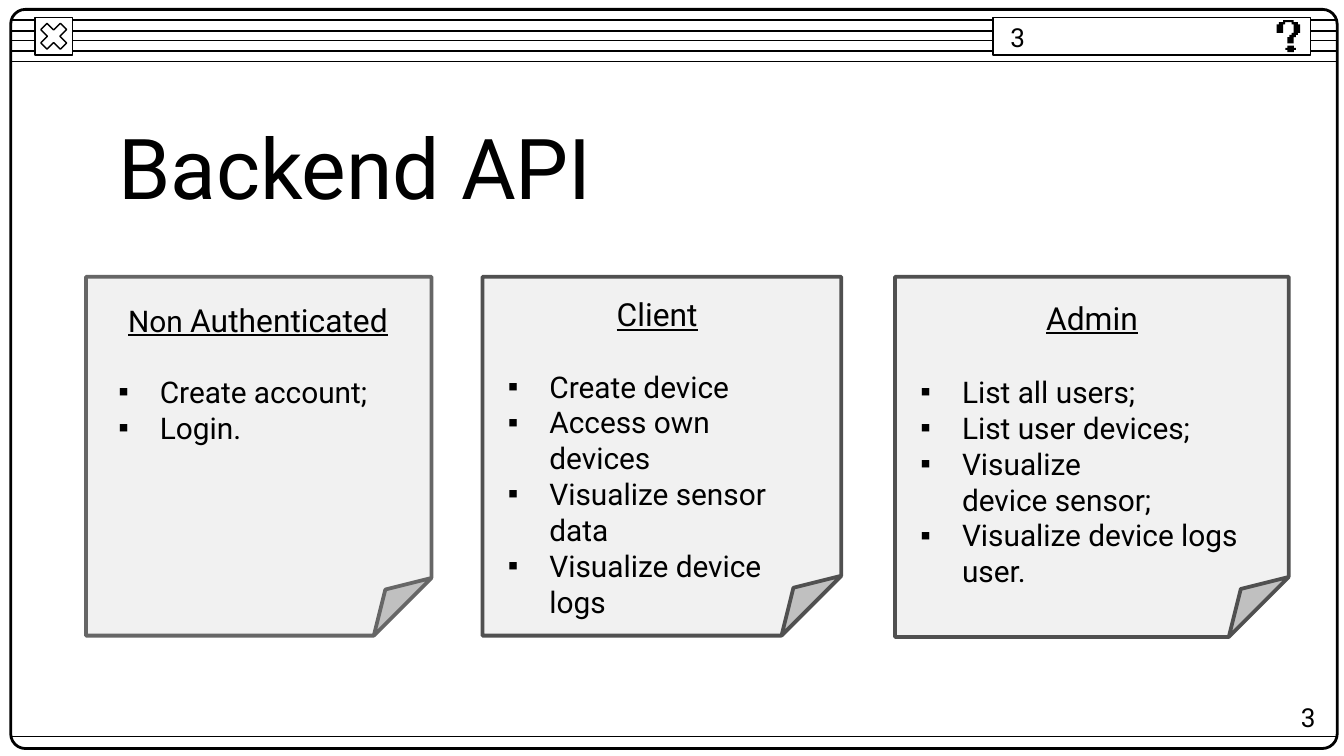
from lxml import etree
from pptx import Presentation
from pptx.dml.color import RGBColor
from pptx.enum import shapes, text
from pptx.oxml.ns import qn
from pptx.util import Inches, Pt

FONT, BLACK, WHITE, PAPER = "Roboto", "000000", "FFFFFF", "F1F1F1"
HARD_SPACE = chr(160)  # keeps two words on one line


def color(value):
    return RGBColor.from_string(value)


def style(shape, fill, line, width):
    shape.shadow.inherit = False
    if fill:
        shape.fill.solid()
        shape.fill.fore_color.rgb = color(fill)
    else:
        shape.fill.background()
    if line:
        shape.line.color.rgb = color(line)
        shape.line.width = Pt(width)
    else:
        shape.line.fill.background()


# Widescreen slide, 16:9
prs = Presentation()
prs.slide_width = Inches(10)
prs.slide_height = Inches(10) * 9 // 16
slide = prs.slides.add_slide(prs.slide_layouts[1])
title, first_list = slide.placeholders
tree = slide.shapes

# Window rules: five in the title bar, one at the foot
for y in (0.15, 0.23, 0.3, 0.38, 0.46, 5.48):
    rule = tree.add_connector(shapes.MSO_CONNECTOR.STRAIGHT, Inches(0.08), Inches(y), Inches(9.95), Inches(y))
    rule.line.color.rgb = color(BLACK)
    rule.line.width = Pt(0.75)
    etree.SubElement(rule._element.spPr, qn("a:effectLst"))

# Window frame, close button and title bar field
kinds = shapes.MSO_SHAPE
for kind, x, y, w, h, fill, width, adjust in (
    (kinds.ROUNDED_RECTANGLE, 0.08, 0.07, 9.87, 5.5, None, 1.5, 0.02),
    (kinds.RECTANGLE, 0.26, 0.13, 0.28, 0.28, WHITE, 0.75, None),
    (kinds.MATH_MULTIPLY, 0.26, 0.13, 0.28, 0.28, WHITE, 0.75, 0.235),
    (kinds.RECTANGLE, 7.39, 0.13, 2.36, 0.28, WHITE, 0.75, None),
):
    part = tree.add_shape(kind, Inches(x), Inches(y), Inches(w), Inches(h))
    style(part, fill, BLACK, width)
    if adjust:
        part.adjustments[0] = adjust

# Question mark, outlined on a grid of pixels
pixel = Inches(0.19) / 12
dot = [(5, 12), (5, 13), (4, 13), (4, 14), (5, 14), (5, 15),
       (8, 15), (8, 14), (9, 14), (9, 13), (8, 13), (8, 12)]
hook = [(3, 0), (3, 1), (1, 1), (1, 2), (0, 2), (0, 6), (3, 6), (3, 2), (4, 2), (4, 1),
        (7, 1), (7, 2), (8, 2), (8, 6), (7, 6), (7, 7), (6, 7), (6, 8), (5, 8), (5, 11),
        (8, 11), (8, 8), (9, 8), (9, 7), (10, 7), (10, 6), (11, 6), (11, 2), (10, 2),
        (10, 1), (8, 1), (8, 0)]
for outline in (dot, hook):
    builder = tree.build_freeform(*outline[0], scale=pixel)
    builder.add_line_segments(outline[1:], close=True)
    style(builder.convert_to_shape(Inches(9.5), Inches(0.15)), BLACK, None, 0)

# Paper notes
for x, w, h, edge in ((6.66, 2.93, 2.68, "505050"), (3.59, 2.67, 2.67, "505050"), (0.64, 2.57, 2.67, "666666")):
    note = tree.add_shape(kinds.FOLDED_CORNER, Inches(x), Inches(2.06), Inches(w), Inches(h))
    style(note, PAPER, edge, 2)

# Title, in front of the window
tree._spTree.append(title._element)
title.left, title.top, title.width, title.height = Inches(0.78), Inches(0.88), Inches(7.75), Inches(0.71)
title.text_frame.text = "Backend API"

# Page numbers
numbers = []
for x, y in ((7.42, 0.11), (9.58, 5.17)):
    number = tree.add_textbox(Inches(x), Inches(y), Inches(0.32), Inches(0.34))
    number.text_frame.text = "3"
    number.text_frame.word_wrap = False
    numbers.append(number)

for label, size in ((title, 45), (numbers[0], 14), (numbers[1], 14)):
    line = label.text_frame.paragraphs[0]
    line.alignment = text.PP_ALIGN.LEFT
    line.runs[0].font.name, line.runs[0].font.size = FONT, Pt(size)
    line.runs[0].font.color.rgb = color(BLACK)

# Role lists: box, heading runs, gap below the heading, items
roles = (
    ((0.78, 2.1, 2.28, 1.35), (("Non ", 16), ("Authenticated", 17)), 19,
     ("Create account;", "Login.")),
    ((6.75, 1.98, 2.75, 2.64), (("Admin", 17),), 20,
     ("List all users;", "List user devices;", f"Visualize device{HARD_SPACE}sensor;",
      "Visualize device logs user.")),
    ((3.68, 2.36, 2.42, 2.08), (("Client", 17),), 19,
     ("Create device", "Access own devices", "Visualize sensor data", "Visualize device logs")),
)
frames = [title.text_frame]
for i, (box, heading, gap, items) in enumerate(roles):
    place = [Inches(v) for v in box]
    if i == 0:
        role = first_list
        tree._spTree.append(role._element)
        role.left, role.top, role.width, role.height = place
    else:
        role = tree.add_textbox(*place)
    frame = role.text_frame
    frames.append(frame)

    head = frame.paragraphs[0]
    props = head._p.get_or_add_pPr()
    props.set("marL", "0")
    props.set("indent", "0")
    etree.SubElement(props, qn("a:buNone"))
    head.alignment = text.PP_ALIGN.CENTER
    head.space_before, head.space_after = Pt(0), Pt(gap)
    for words, size in heading:
        run = head.add_run()
        run.text = words
        run.font.name, run.font.size, run.font.underline = FONT, Pt(size), True
        run.font.color.rgb = color(BLACK)

    for words in items:
        item = frame.add_paragraph()
        item.text = words
        props = item._p.get_or_add_pPr()
        props.set("marL", str(Inches(0.31)))
        props.set("indent", str(-Inches(0.31)))
        bullet_color = etree.SubElement(props, qn("a:buClr"))
        etree.SubElement(bullet_color, qn("a:srgbClr"), val=BLACK)
        etree.SubElement(props, qn("a:buFont"), typeface="Arial")
        etree.SubElement(props, qn("a:buChar"), char="▪")
        item.alignment = text.PP_ALIGN.LEFT
        item.space_before = Pt(0)
        run = item.runs[0]
        run.font.name, run.font.size = FONT, Pt(16)
        run.font.color.rgb = color(BLACK)

# Shared frame settings for the title and the lists
for frame in frames:
    frame.word_wrap = True
    frame.auto_size = text.MSO_AUTO_SIZE.NONE
    frame.vertical_anchor = text.MSO_ANCHOR.MIDDLE
    frame.margin_left = frame.margin_right = Inches(0.1)
    frame.margin_top = frame.margin_bottom = Inches(0.1)

prs.save("out.pptx")
